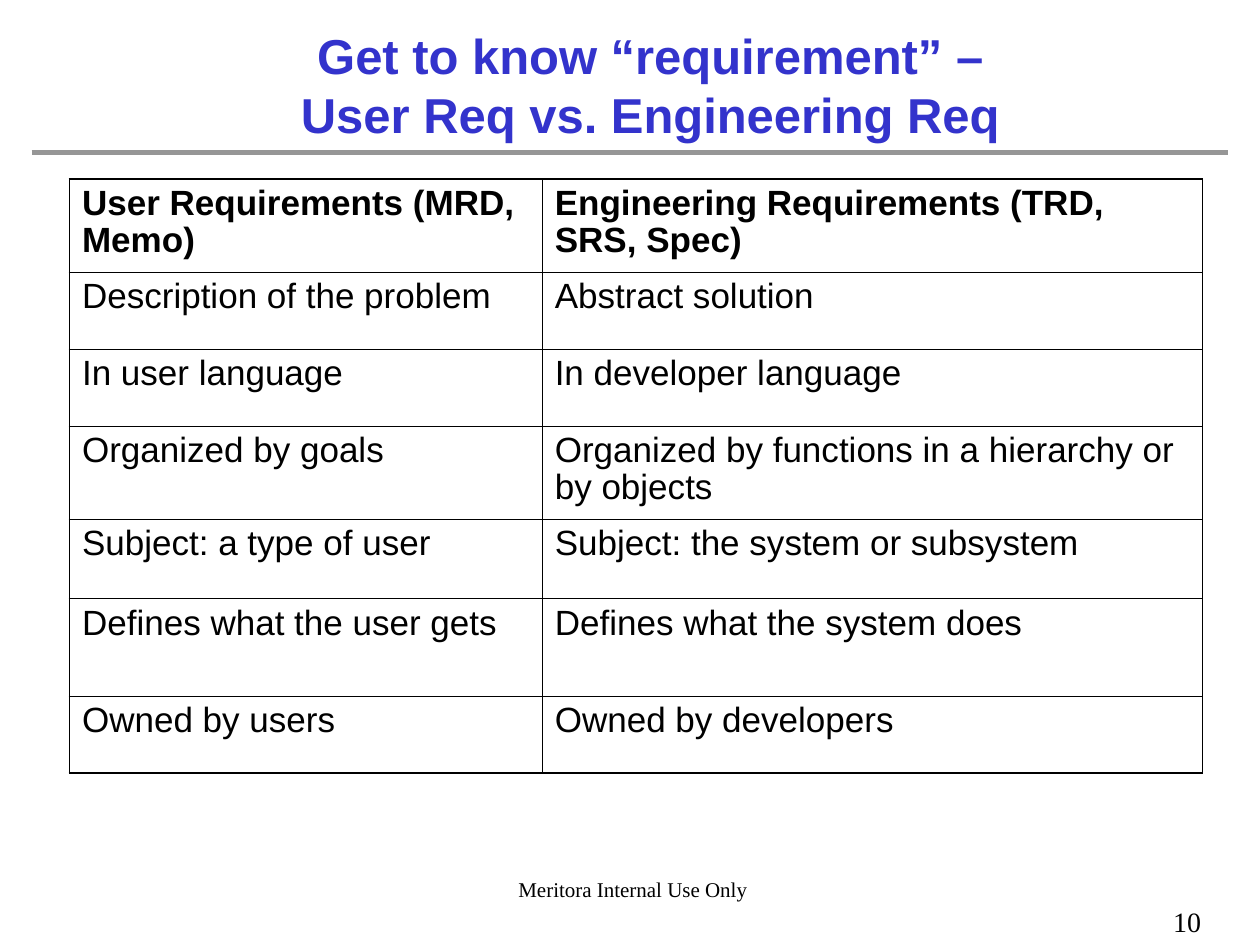
import pptx
import pptx.dml.color
import pptx.enum.shapes
import pptx.enum.text
import pptx.oxml
import pptx.oxml.ns
import pptx.util
from pptx.util import Cm

COLORS = {"title": "3333CC", "text": "000000", "rule": "969696", "border": "000000"}
ALIGN = pptx.enum.text.PP_ALIGN
OUTER_BORDER, INNER_BORDER = 1.08, 0.45

COMPARISON = [
    ("User Requirements (MRD, Memo)", "Engineering Requirements (TRD, SRS, Spec)"),
    ("Description of the problem", "Abstract solution"),
    ("In user language", "In developer language"),
    ("Organized by goals", "Organized by functions in a hierarchy or by objects"),
    ("Subject: a type of user", "Subject: the system or subsystem"),
    ("Defines what the user gets", "Defines what the system does"),
    ("Owned by users", "Owned by developers"),
]
COLUMN_WIDTHS = [9.53, 13.31]
ROW_HEIGHTS = [1.78, 1.55, 1.55, 1.78, 1.6, 1.96, 1.55]


def rgb(name):
    return pptx.dml.color.RGBColor.from_string(COLORS[name])


def add_run(paragraph, text, size, font="Arial", color="text", bold=False):
    run = paragraph.add_run()
    run.text = text
    run.font.name = font
    run.font.size = pptx.util.Pt(size)
    run.font.bold = bold
    run.font.color.rgb = rgb(color)


def add_text(slide, box, lines, size, align=ALIGN.LEFT, wrap=False, **style):
    label = slide.shapes.add_textbox(*map(Cm, box))
    frame = label.text_frame
    frame.word_wrap = wrap
    frame.vertical_anchor = pptx.enum.text.MSO_ANCHOR.MIDDLE
    paragraph = frame.paragraphs[0]
    paragraph.alignment = align
    for index, line in enumerate(lines):
        if index:
            paragraph.add_line_break()
        add_run(paragraph, line, size, **style)


def add_rule(slide, left, right, y):
    rule = slide.shapes.add_connector(
        pptx.enum.shapes.MSO_CONNECTOR.STRAIGHT, Cm(left), Cm(y), Cm(right), Cm(y))
    rule.line.color.rgb = rgb("rule")
    rule.line.width = pptx.util.Pt(3)
    rule._element.spPr.append(pptx.oxml.parse_xml(
        f'<a:effectLst {pptx.oxml.ns.nsdecls("a")}/>'))


def set_borders(cell, outer_sides):
    """Draw all four sides, heavier where the side is on the table's edge."""
    cell.fill.background()
    properties = cell._tc.get_or_add_tcPr()
    for index, side in enumerate("LRTB"):
        width = pptx.util.Pt(OUTER_BORDER if side in outer_sides else INNER_BORDER)
        properties.insert(index, pptx.oxml.parse_xml(
            f'<a:ln{side} {pptx.oxml.ns.nsdecls("a")} w="{int(width)}"><a:solidFill>'
            f'<a:srgbClr val="{COLORS["border"]}"/></a:solidFill></a:ln{side}>'))


def add_comparison(slide, left, top):
    table = slide.shapes.add_table(
        len(ROW_HEIGHTS), len(COLUMN_WIDTHS), Cm(left), Cm(top),
        Cm(sum(COLUMN_WIDTHS)), Cm(sum(ROW_HEIGHTS))).table
    table.horz_banding = False
    for column, width in zip(table.columns, COLUMN_WIDTHS):
        column.width = Cm(width)
    for row, height in zip(table.rows, ROW_HEIGHTS):
        row.height = Cm(height)
    last_row = len(COMPARISON) - 1
    for row, entries in enumerate(COMPARISON):
        for column, entry in enumerate(entries):
            cell = table.cell(row, column)
            paragraph = cell.text_frame.paragraphs[0]
            paragraph.line_spacing = 0.96
            add_run(paragraph, entry, 20, bold=row == 0)
            outer_sides = {"LR"[column]}
            if row == 0:
                outer_sides.add("T")
            if row == last_row:
                outer_sides.add("B")
            set_borders(cell, outer_sides)


def main():
    deck = pptx.Presentation()
    deck.slide_width, deck.slide_height = Cm(25.4), Cm(19.05)
    slide = deck.slides.add_slide(deck.slide_layouts[6])
    add_text(slide, (10.16, 17.55, 5.2, 0.76), ["Meritora Internal Use Only"], 12,
             align=ALIGN.CENTER, font="Times New Roman")
    add_text(slide, (23.4, 18.11, 2, 0.94), ["10"], 16, font="Times New Roman")
    add_text(slide, (2.1, 0.43, 22.02, 2.54),
             ["Get to know “requirement” –", "User Req vs. Engineering Req"], 28,
             align=ALIGN.CENTER, wrap=True, color="title", bold=True)
    add_comparison(slide, 1.4, 3.61)
    add_rule(slide, 0.64, 24.76, 3.08)
    deck.save("out.pptx")


if __name__ == "__main__":
    main()
